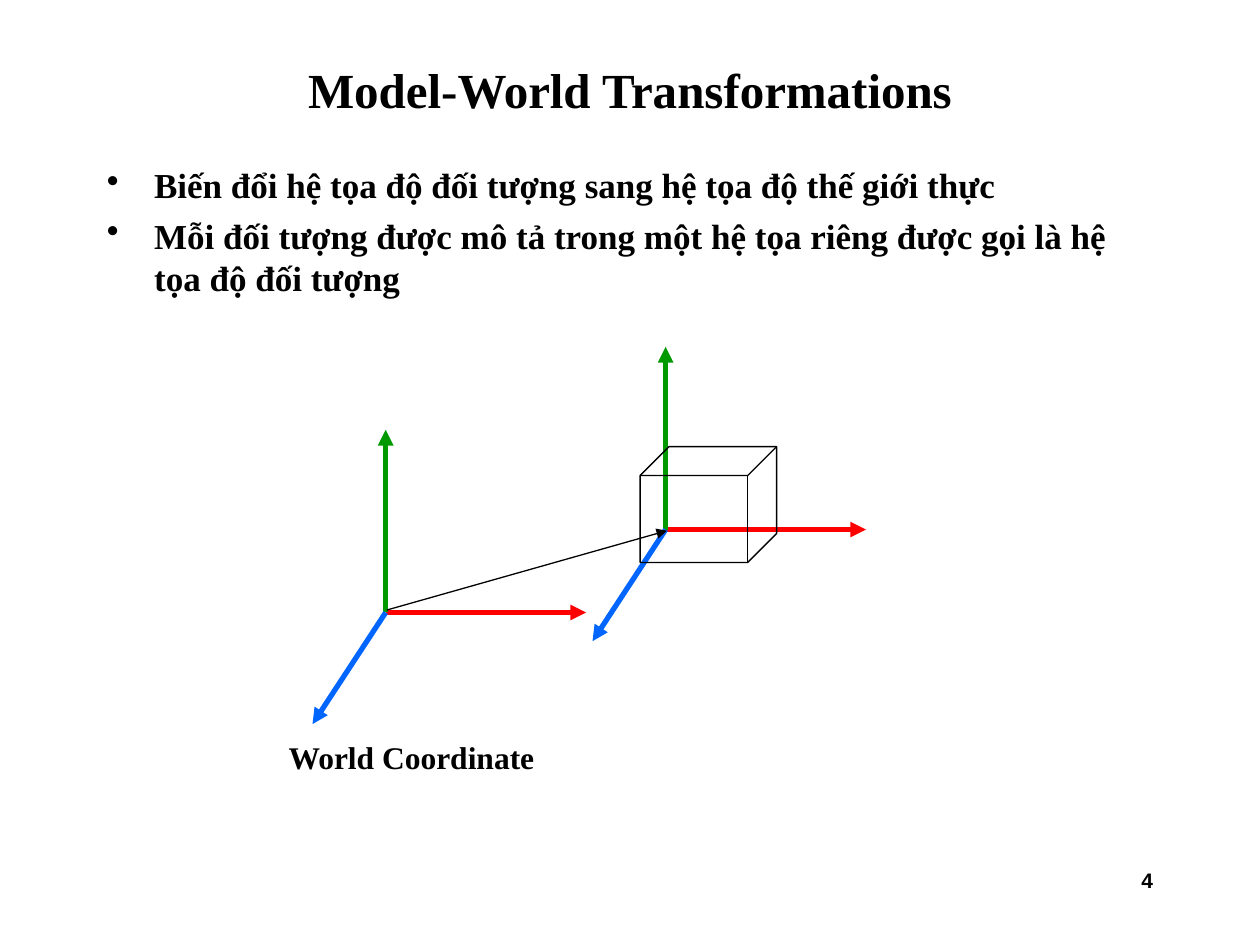
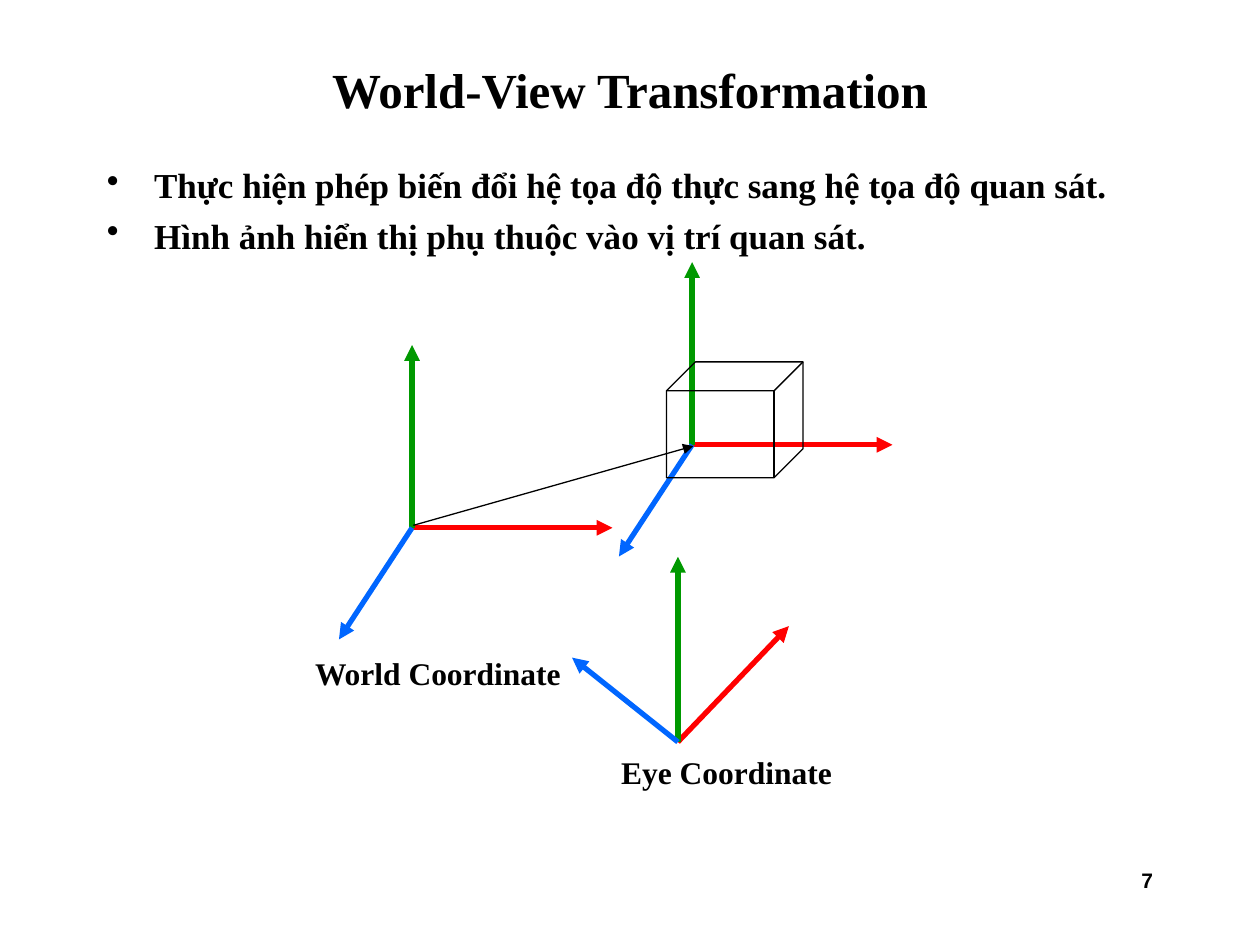
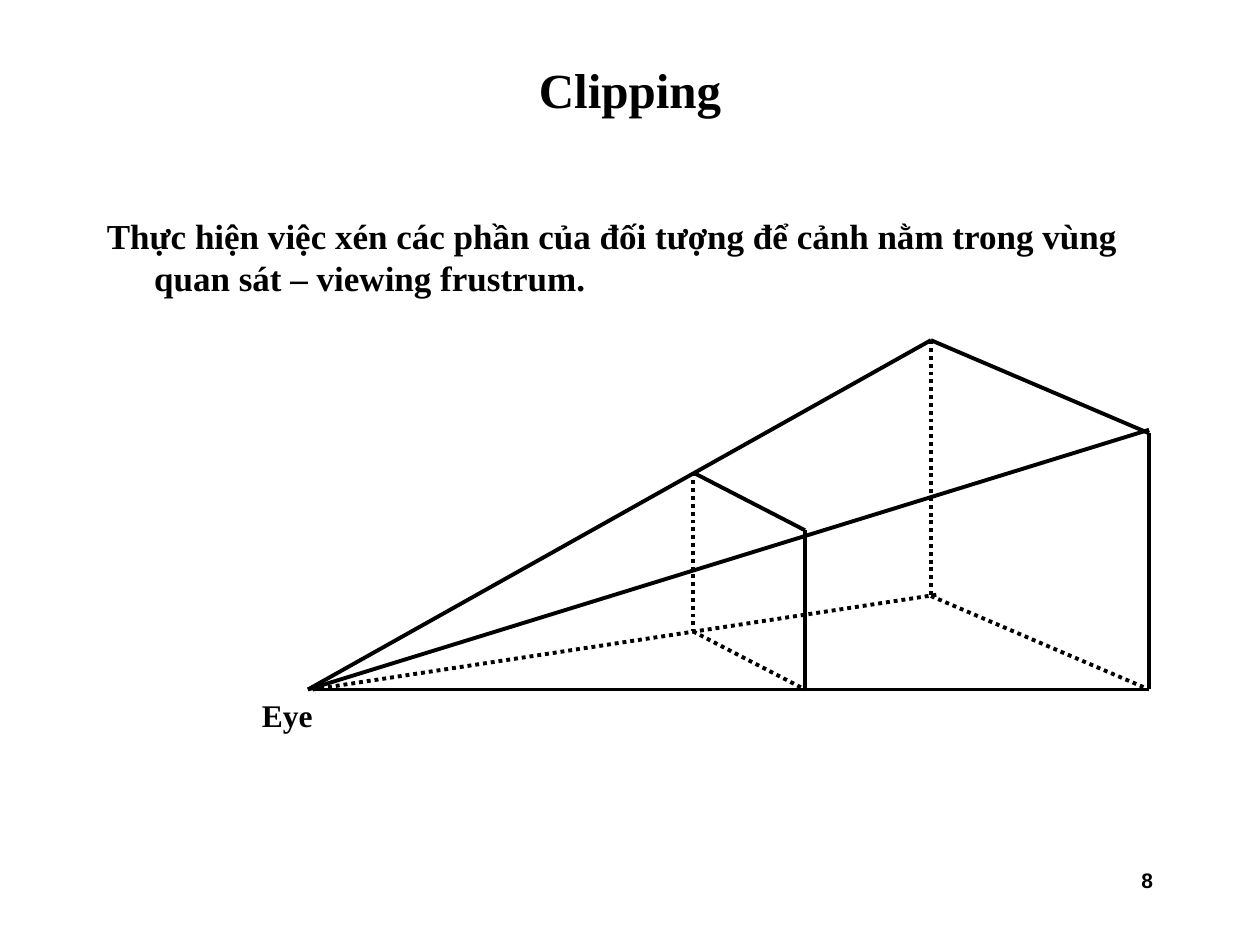
"""Build three lecture slides on transformations and clipping."""
from lxml import etree
from pptx import Presentation
from pptx import util as u
from pptx.dml.color import RGBColor
from pptx.enum import dml, shapes, text
from pptx.oxml.ns import qn

COLORS = {"ink": "000000", "x": "FF0000", "y": "009900", "z": "0066FF"}
SERIF, SANS = "Times New Roman", "Arial"
SIZE = (720, 540)
TITLE_BOX = (54, 24, 612, 54)
BODY_BOX = (54, 90, 612, 390)
NUMBER_BOX = (516, 492, 150, 36)
LABEL_SIZE = (178.6, 28.8)
HANG = 27

LECTURE = [
    {"number": "4", "title": "Model-World Transformations", "bullet": "•", "drop": 0,
     "body": ["Biến đổi hệ tọa độ đối tượng sang hệ tọa độ thế giới thực",
              "Mỗi đối tượng được mô tả trong một hệ tọa riêng được gọi là hệ tọa độ đối tượng"],
     "world": (220.4, 350)},
    {"number": "7", "title": "World-View Transformation", "bullet": "•", "drop": 0,
     "body": ["Thực hiện phép biến đổi hệ tọa độ thực sang hệ tọa độ quan sát.",
              "Hình ảnh hiển thị phụ thuộc vào vị trí quan sát."],
     "world": (235.5, 301.6), "viewer": (387.4, 424)},
    {"number": "8", "title": "Clipping", "bullet": None, "drop": 29,
     "body": ["Thực hiện việc xén các phần của đối tượng để cảnh nằm trong vùng "
              "quan sát – viewing frustrum."],
     "frustum": True},
]

WORLD_AXES = {"x": (114.5, 0), "y": (0, -104.4), "z": (-41.8, 63.8)}
VIEWER_AXES = {"x": (63.4, -66.2), "y": (0, -105.8), "z": (-60.5, -48.2)}
MODEL_OFFSET = (160, -47.4)
CUBE_OFFSET, CUBE_SIZE = (-14.6, -47.4), (78, 66.2)
WORLD_LABEL, VIEWER_LABEL = (-62.6, 68.4), (-39.6, 3)

EYE_LABEL = (142.6, 394)
NEAR = [(396, 270), (460, 303), (460, 394), (396, 360.8)]
FAR = [(532, 194.4), (656.6, 247.6), (656.6, 394), (532, 340.6)]
PLANE_EDGES = [(0, 1, False), (0, 3, True), (3, 2, True), (1, 2, False)]
RAYS = [((176, 394), (532, 194.4), False), ((178.6, 394), (535.6, 339.8), True),
        ((176, 394), (656.6, 245.6), False), ((178.6, 394), (656.6, 394), False)]


def shift(origin, offset):
    return origin[0] + offset[0], origin[1] + offset[1]


def color(key):
    return RGBColor.from_string(COLORS[key])


def add_text(slide, box, lines, size, font=SERIF, align=text.PP_ALIGN.LEFT,
             anchor=text.MSO_ANCHOR.TOP, hang=0, bullet=None, before=0):
    frame = slide.shapes.add_textbox(*map(u.Pt, box)).text_frame
    frame.word_wrap = True
    frame.vertical_anchor = anchor
    for index, line in enumerate(lines):
        paragraph = frame.add_paragraph() if index else frame.paragraphs[0]
        paragraph.alignment = align
        paragraph.space_before = u.Pt(before)
        run = paragraph.add_run()
        run.text = line
        run.font.name, run.font.size, run.font.bold = font, u.Pt(size), True
        run.font.color.rgb = color("ink")
        if hang:
            props = paragraph._p.get_or_add_pPr()
            props.set("marL", str(u.Pt(hang)))
            props.set("indent", str(-u.Pt(hang)))
            if bullet:
                etree.SubElement(props, qn("a:buChar"), char=bullet)


def add_line(slide, start, end, key="ink", width=0.75, arrow=False, dotted=False):
    line = slide.shapes.add_connector(shapes.MSO_CONNECTOR.STRAIGHT, *map(u.Pt, start + end))
    line.line.color.rgb = color(key)
    line.line.width = u.Pt(width)
    if dotted:
        line.line.dash_style = dml.MSO_LINE.ROUND_DOT
    props = line._element.spPr
    if arrow:
        etree.SubElement(props.find(qn("a:ln")), qn("a:tailEnd"), type="triangle")
    etree.SubElement(props, qn("a:effectLst"))


def add_label(slide, corner, caption):
    add_text(slide, corner + LABEL_SIZE, [caption], 18)


def draw_axes(slide, origin, axes):
    for key, reach in axes.items():
        add_line(slide, origin, shift(origin, reach), key, 3, arrow=True)


def draw_scene(slide, world):
    model = shift(world, MODEL_OFFSET)
    draw_axes(slide, model, WORLD_AXES)
    corner = shift(model, CUBE_OFFSET)
    cube = slide.shapes.add_shape(shapes.MSO_SHAPE.CUBE, *map(u.Pt, corner + CUBE_SIZE))
    cube.shadow.inherit = False
    cube.fill.background()
    cube.line.color.rgb = color("ink")
    cube.line.width = u.Pt(0.75)
    draw_axes(slide, world, WORLD_AXES)
    add_line(slide, shift(world, (0.7, -1.4)), shift(model, (0.7, 0.7)), arrow=True)
    add_label(slide, shift(world, WORLD_LABEL), "World Coordinate")


def draw_viewer(slide, origin):
    draw_axes(slide, origin, VIEWER_AXES)
    add_label(slide, shift(origin, VIEWER_LABEL), "Eye Coordinate")


def draw_frustum(slide):
    edges = [(plane[a], plane[b], hidden)
             for plane in (NEAR, FAR) for a, b, hidden in PLANE_EDGES]
    for start, end, hidden in RAYS + edges:
        add_line(slide, start, end, width=2.25, dotted=hidden)
    add_label(slide, EYE_LABEL, "Eye")


def build_slide(deck, topic):
    slide = deck.slides.add_slide(deck.slide_layouts[6])
    add_text(slide, TITLE_BOX, [topic["title"]], 28,
             align=text.PP_ALIGN.CENTER, anchor=text.MSO_ANCHOR.MIDDLE)
    left, top, width, height = BODY_BOX
    drop = topic["drop"]
    add_text(slide, (left, top + drop, width, height - drop), topic["body"], 20,
             hang=HANG, bullet=topic["bullet"], before=5)
    if "world" in topic:
        draw_scene(slide, topic["world"])
    if "viewer" in topic:
        draw_viewer(slide, topic["viewer"])
    if "frustum" in topic:
        draw_frustum(slide)
    add_text(slide, NUMBER_BOX, [topic["number"]], 12, SANS, text.PP_ALIGN.RIGHT)


def main():
    deck = Presentation()
    deck.slide_width, deck.slide_height = map(u.Pt, SIZE)
    for topic in LECTURE:
        build_slide(deck, topic)
    deck.save("out.pptx")


if __name__ == "__main__":
    main()
